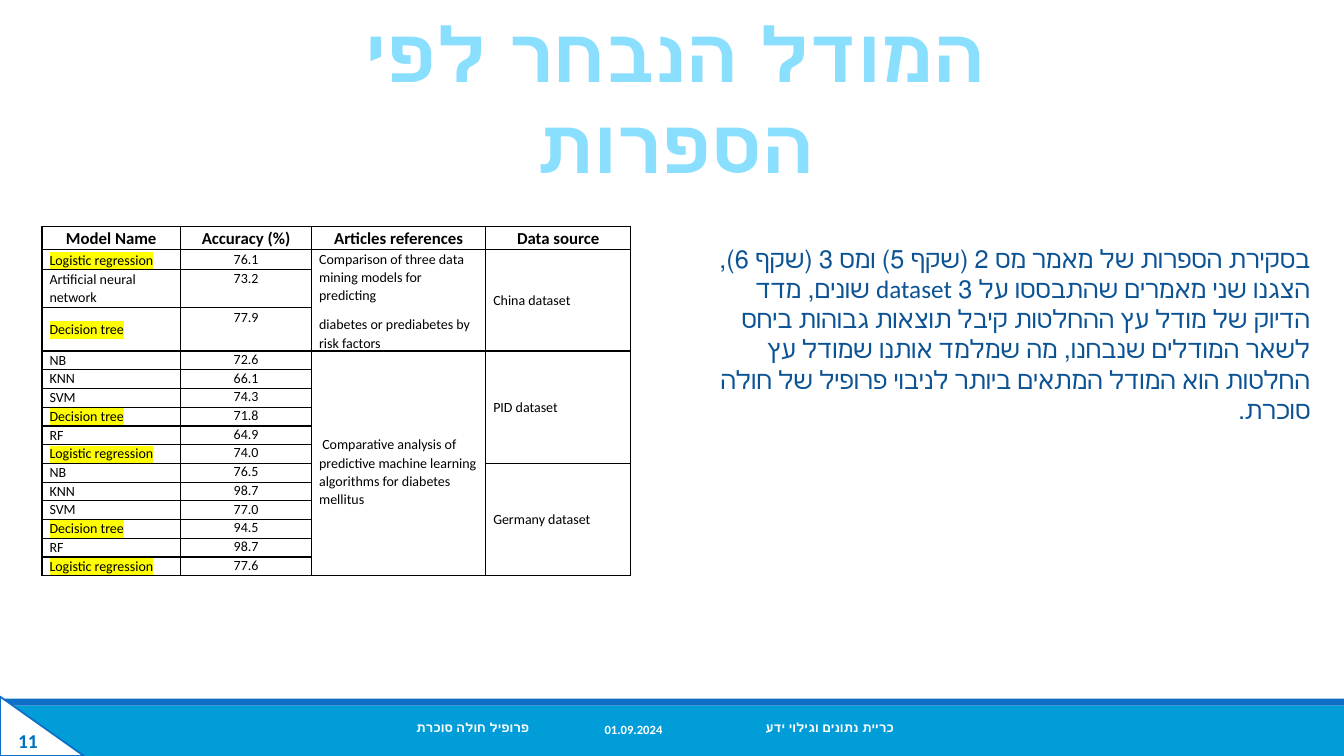
import pptx
import pptx.util
import pptx.dml.color
import pptx.enum.shapes
import pptx.enum.text
import pptx.oxml.ns
import lxml.etree
from dataclasses import dataclass

Pt = pptx.util.Pt
ALIGN = pptx.enum.text.PP_ALIGN
ANCHOR = pptx.enum.text.MSO_ANCHOR
SHAPE = pptx.enum.shapes.MSO_SHAPE
qn = pptx.oxml.ns.qn


@dataclass(frozen=True)
class Theme:
    font: str = "Calibri"
    white: str = "FFFFFF"
    black: str = "000000"
    sky: str = "8ADFFF"
    navy: str = "0B5394"
    band: str = "009DD9"
    stripe: str = "0F6FC6"
    number: str = "0070C0"
    marker: str = "FFFF00"
    title_size: float = 54
    body_size: float = 18
    number_size: float = 14
    header_size: float = 12
    cell_size: float = 10
    footer_size: float = 9


theme = Theme()


def rgb(value):
    return pptx.dml.color.RGBColor.from_string(value)


def write(paragraph, text, size, color, bold=False, align=ALIGN.LEFT):
    paragraph.alignment = align
    run = paragraph.add_run()
    run.text = text
    run.font.size = Pt(size)
    run.font.bold = bold
    run.font.color.rgb = rgb(color)
    run.font.name = theme.font
    return run


deck = pptx.Presentation()
deck.slide_width, deck.slide_height = Pt(960), Pt(540)
slide = deck.slides.add_slide(deck.slide_layouts[1])

for kind, left, top, width, height, fill, line in (
    (SHAPE.RECTANGLE, 0, 504, 960, 36, theme.band, None),
    (SHAPE.RECTANGLE, 0, 499, 960, 5, theme.stripe, None),
    (SHAPE.RIGHT_TRIANGLE, 0, 497.5, 60, 42.5, theme.white, theme.stripe),
):
    corner = slide.shapes.add_shape(kind, Pt(left), Pt(top), Pt(width), Pt(height))
    corner.shadow.inherit = False
    corner.fill.solid()
    corner.fill.fore_color.rgb = rgb(fill)
    if line:
        corner.line.color.rgb = rgb(line)
        corner.line.width = Pt(1.25)
    else:
        corner.line.fill.background()

corner.text_frame.word_wrap = False
corner.text_frame.vertical_anchor = ANCHOR.MIDDLE
write(corner.text_frame.paragraphs[0], "11", theme.number_size, theme.number, True, ALIGN.CENTER)

heading = slide.shapes.title
summary = slide.placeholders[1]
for holder, left, top, width, height in (
    (heading, 185, 1.5, 595, 138),
    (summary, 499.7, 170, 443.5, 116.6),
):
    holder.left, holder.top, holder.width, holder.height = Pt(left), Pt(top), Pt(width), Pt(height)
    holder.text_frame.word_wrap = True
    holder.text_frame.auto_size = pptx.enum.text.MSO_AUTO_SIZE.NONE
    holder.text_frame.vertical_anchor = ANCHOR.TOP

write(heading.text_frame.paragraphs[0], "המודל הנבחר לפי הספרות",
      theme.title_size, theme.sky, True, ALIGN.CENTER)

findings = summary.text_frame.paragraphs[0]
findings.space_before = Pt(0)
write(
    findings,
    "בסקירת הספרות של מאמר מס 2 (שקף 5) ומס 3 (שקף 6), הצגנו שני מאמרים שהתבססו על 3 dataset שונים, "
    "מדד הדיוק של מודל עץ ההחלטות קיבל תוצאות גבוהות ביחס לשאר המודלים שנבחנו, מה שמלמד אותנו "
    "שמודל עץ החלטות הוא המודל המתאים ביותר לניבוי פרופיל של חולה סוכרת.",
    theme.body_size, theme.navy, align=ALIGN.RIGHT,
)
findings_format = findings._p.get_or_add_pPr()
for key, value in (("marL", "0"), ("indent", "0"), ("rtl", "1")):
    findings_format.set(key, value)
lxml.etree.SubElement(findings_format, qn("a:buNone"))

for footer, left, top, width, align in (
    ("פרופיל חולה סוכרת", 175.7, 505.5, 324, ALIGN.CENTER),
    ("כריית נתונים וגילוי ידע", 430.6, 505.5, 324, ALIGN.CENTER),
    ("01.09.2024", 424.8, 507, 216, ALIGN.LEFT),
):
    frame = slide.shapes.add_textbox(Pt(left), Pt(top), Pt(width), Pt(28.8)).text_frame
    frame.word_wrap = True
    frame.vertical_anchor = ANCHOR.MIDDLE
    write(frame.paragraphs[0], footer, theme.footer_size, theme.white, True, align)

headers = ("Model Name", "Accuracy (%)", "Articles references", "Data source")
models = ("NB", "KNN", "SVM", "Decision tree", "RF", "Logistic regression")
highlighted = ("Decision tree", "Logistic regression")
scores = [
    ("Logistic regression", "76.1"),
    ("Artificial neural network", "73.2"),
    ("Decision tree", "77.9"),
    *zip(models, ("72.6", "66.1", "74.3", "71.8", "64.9", "74.0")),
    *zip(models, ("76.5", "98.7", "77.0", "94.5", "98.7", "77.6")),
]
merged = (
    (1, 3, 2, ("Comparison of three data mining models for predicting",
               "diabetes or prediabetes by risk factors")),
    (4, 15, 2, (" Comparative analysis of predictive machine learning algorithms for diabetes mellitus",)),
    (1, 3, 3, ("China dataset",)),
    (4, 9, 3, ("PID dataset",)),
    (10, 15, 3, ("Germany dataset",)),
)
column_widths = (99, 93.6, 124.4, 103.6)
row_heights = (16.5, 14, 27.3, 30.5) + (13.4,) * 12

results = slide.shapes.add_table(
    len(row_heights), len(column_widths), Pt(30), Pt(162),
    Pt(sum(column_widths)), Pt(sum(row_heights)),
).table
results.first_row = False
results.horz_banding = False
for column, width in zip(results.columns, column_widths):
    column.width = Pt(width)
for row, height in zip(results.rows, row_heights):
    row.height = Pt(height)

for cell in results.iter_cells():
    cell.margin_left = cell.margin_right = Pt(5.4)
    cell.margin_top = cell.margin_bottom = Pt(0)
    cell.fill.background()
    cell_format = cell._tc.get_or_add_tcPr()
    for position, side in enumerate(("a:lnL", "a:lnR", "a:lnT", "a:lnB")):
        border = lxml.etree.Element(qn(side), w=str(Pt(1)))
        ink = lxml.etree.SubElement(border, qn("a:solidFill"))
        lxml.etree.SubElement(ink, qn("a:srgbClr"), val=theme.black)
        cell_format.insert(position, border)

for index, header in enumerate(headers):
    write(results.cell(0, index).text_frame.paragraphs[0], header,
          theme.header_size, theme.black, True, ALIGN.CENTER)

for index, (model, accuracy) in enumerate(scores, 1):
    model_cell = results.cell(index, 0)
    model_cell.vertical_anchor = ANCHOR.MIDDLE
    model_run = write(model_cell.text_frame.paragraphs[0], model, theme.cell_size, theme.black)
    if model in highlighted:
        highlight = lxml.etree.Element(qn("a:highlight"))
        lxml.etree.SubElement(highlight, qn("a:srgbClr"), val=theme.marker)
        model_run._r.rPr.find(qn("a:solidFill")).addnext(highlight)
    write(results.cell(index, 1).text_frame.paragraphs[0], accuracy,
          theme.cell_size, theme.black, align=ALIGN.CENTER)

for first, last, column, texts in merged:
    group = results.cell(first, column)
    group.merge(results.cell(last, column))
    group.vertical_anchor = ANCHOR.MIDDLE
    for index, text in enumerate(texts):
        paragraph = group.text_frame.paragraphs[0] if index == 0 else group.text_frame.add_paragraph()
        write(paragraph, text, theme.cell_size, theme.black)
        paragraph.line_spacing = 1.07
        paragraph.space_after = Pt(8)
results.cell(4, 2).margin_top = Pt(12)

for index in range(4):
    for cell in results.rows[index].cells:
        for paragraph in cell.text_frame.paragraphs:
            paragraph.line_spacing = 1.07

deck.save("out.pptx")
